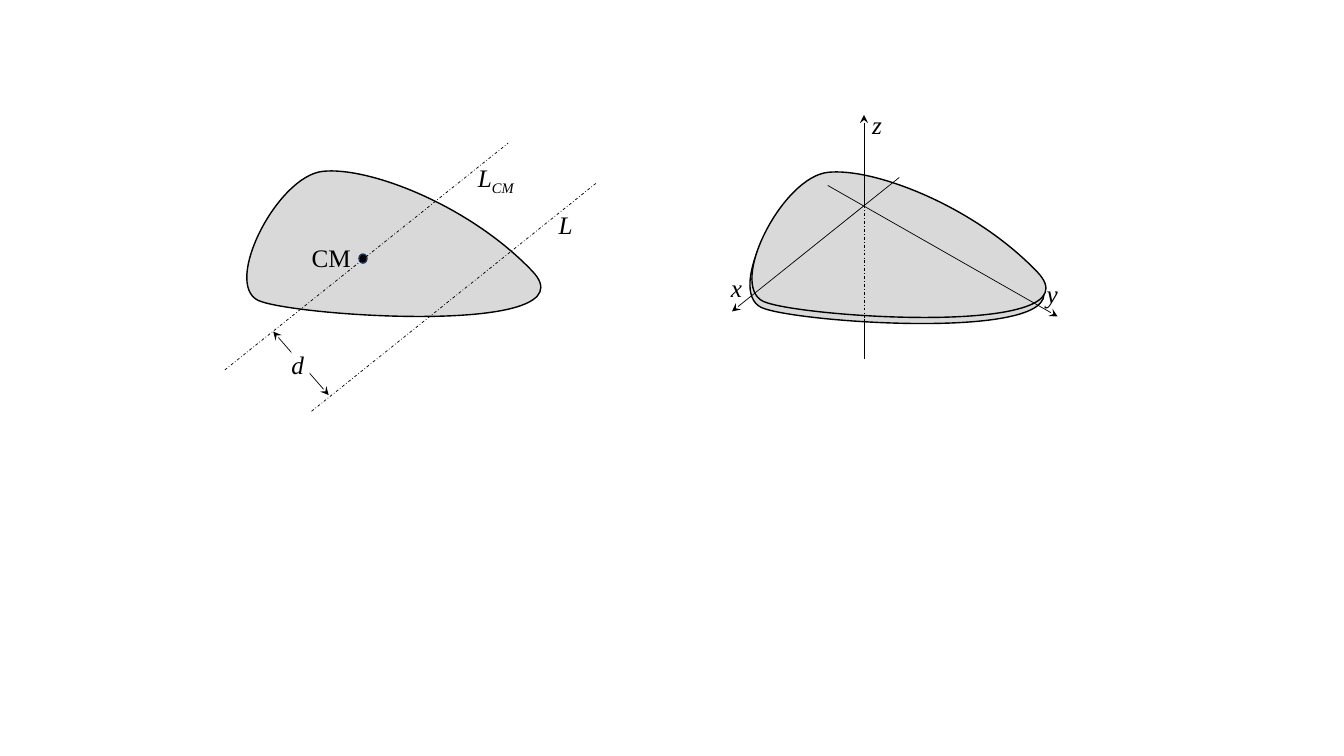
from dataclasses import dataclass

from lxml.etree import SubElement
from pptx import Presentation
from pptx.dml.color import RGBColor
from pptx.enum.dml import MSO_LINE
from pptx.enum.shapes import MSO_CONNECTOR, MSO_SHAPE
from pptx.enum.text import MSO_AUTO_SIZE, PP_ALIGN
from pptx.oxml.ns import qn
from pptx.util import Pt

PX = 9144  # EMU, so 100 px to the inch


@dataclass(frozen=True)
class Theme:
    ink: RGBColor = RGBColor(0x00, 0x00, 0x00)
    body: RGBColor = RGBColor(0xD9, 0xD9, 0xD9)
    paper: RGBColor = RGBColor(0xFF, 0xFF, 0xFF)
    dot_edge: RGBColor = RGBColor(0x1E, 0x32, 0x56)
    font: str = "Times New Roman"
    size: Pt = Pt(18)
    outline: Pt = Pt(1)
    thin: Pt = Pt(0.5)


# Rigid body outline, relative to the top left of its box
BODY_SIZE = (291, 145)
BODY_START = (11, 128)
BODY_CURVES = [
    [(46, 144), (345, 164), (283, 99)],
    [(220, 33), (120, -5), (75, 0)],
    [(30, 5), (-24, 111), BODY_START],
]


class Figure:
    def __init__(self, slide, theme):
        self.s = slide
        self.theme = theme

    def paint(self, sp, fill, edge):
        sp.shadow.inherit = False
        sp.fill.solid()
        sp.fill.fore_color.rgb = fill
        sp.line.color.rgb = edge
        sp.line.width = self.theme.outline

    def body(self, left, top):
        """Draw the rigid body: a box-sized freeform given a Bezier path in px."""
        w, h = BODY_SIZE
        fb = self.s.shapes.build_freeform(left, top, scale=PX)
        fb.add_line_segments([(left + w, top), (left + w, top + h), (left, top + h)])
        sp = fb.convert_to_shape()
        outline = sp._element.find(".//" + qn("a:path"))
        for child in list(outline):
            outline.remove(child)
        steps = [("a:moveTo", [BODY_START])]
        steps += [("a:cubicBezTo", curve) for curve in BODY_CURVES]
        for tag, points in steps + [("a:close", [])]:
            step = SubElement(outline, qn(tag))
            for x, y in points:
                SubElement(step, qn("a:pt"), x=str(x), y=str(y))
        self.paint(sp, self.theme.body, self.theme.ink)

    def dot(self, left, top, width, height):
        sp = self.s.shapes.add_shape(
            MSO_SHAPE.OVAL, left * PX, top * PX, width * PX, height * PX)
        self.paint(sp, self.theme.ink, self.theme.dot_edge)

    def line(self, start, end, dashed=False, arrows=()):
        """Draw a thin line; arrows names its pointed ends, headEnd at start."""
        x1, y1, x2, y2 = (v * PX for v in (*start, *end))
        cxn = self.s.shapes.add_connector(MSO_CONNECTOR.STRAIGHT, x1, y1, x2, y2)
        cxn.line.color.rgb = self.theme.ink
        cxn.line.width = self.theme.thin
        if dashed:
            cxn.line.dash_style = MSO_LINE.DASH_DOT
        ln = cxn.line._get_or_add_ln()
        for end_name in arrows:
            SubElement(ln, qn("a:" + end_name), type="stealth")
        SubElement(cxn._element.spPr, qn("a:effectLst"))

    def label(self, left, top, text, sub="", width=18, italic=True, filled=False):
        box = (left * PX, top * PX, width * PX, 40 * PX)
        if filled:
            sp = self.s.shapes.add_shape(MSO_SHAPE.RECTANGLE, *box)
            self.paint(sp, self.theme.paper, self.theme.paper)
            sp.line.fill.background()
        else:
            sp = self.s.shapes.add_textbox(*box)
        tf = sp.text_frame
        tf.word_wrap = True
        tf.auto_size = MSO_AUTO_SIZE.SHAPE_TO_FIT_TEXT
        tf.margin_left = tf.margin_right = 0
        tf.margin_top = tf.margin_bottom = 5 * PX
        p = tf.paragraphs[0]
        p.alignment = PP_ALIGN.LEFT
        self.run(p, text, italic)
        if sub:
            r = self.run(p, sub, italic)
            r._r.get_or_add_rPr().set("baseline", "-25000")

    def run(self, p, text, italic):
        r = p.add_run()
        r.text = text
        r.font.name = self.theme.font
        r.font.size = self.theme.size
        r.font.italic = italic
        r.font.color.rgb = self.theme.ink
        return r


def draw_parallel_axes(fig):
    fig.body(245, 170)
    fig.dot(356, 252, 8, 9)
    fig.label(309, 236, "CM", width=40, italic=False)
    fig.line((223, 367), (504, 142), dashed=True)
    fig.label(474, 156, "L", sub="CM", width=42)
    fig.line((309, 408), (591, 182), dashed=True)
    fig.label(554, 203, "L")
    fig.line((271, 329), (326, 392), arrows=("headEnd", "tailEnd"))
    fig.label(289, 342, "d", filled=True)


def draw_perpendicular_axes(fig):
    for left, top in [(744, 177), (746, 171)]:
        fig.body(left, top)
    z_x = 857
    for tip, tail in [((726, 309), (892, 176)),
                      ((1049, 314), (821, 184)),
                      ((z_x, 114), (z_x, 204))]:
        fig.line(tip, tail, arrows=("headEnd",))
    fig.line((z_x, 196), (z_x, 316), dashed=True)
    fig.line((z_x, 316), (z_x, 356))
    for left, top, name in [(725, 265, "x"), (1038, 271, "y"), (865, 104, "z")]:
        fig.label(left, top, name)


def main():
    prs = Presentation()
    prs.slide_width, prs.slide_height = 1333 * PX, 750 * PX
    s = prs.slides.add_slide(prs.slide_layouts[6])
    fig = Figure(s, Theme())
    draw_parallel_axes(fig)
    draw_perpendicular_axes(fig)
    prs.save("out.pptx")


if __name__ == "__main__":
    main()
